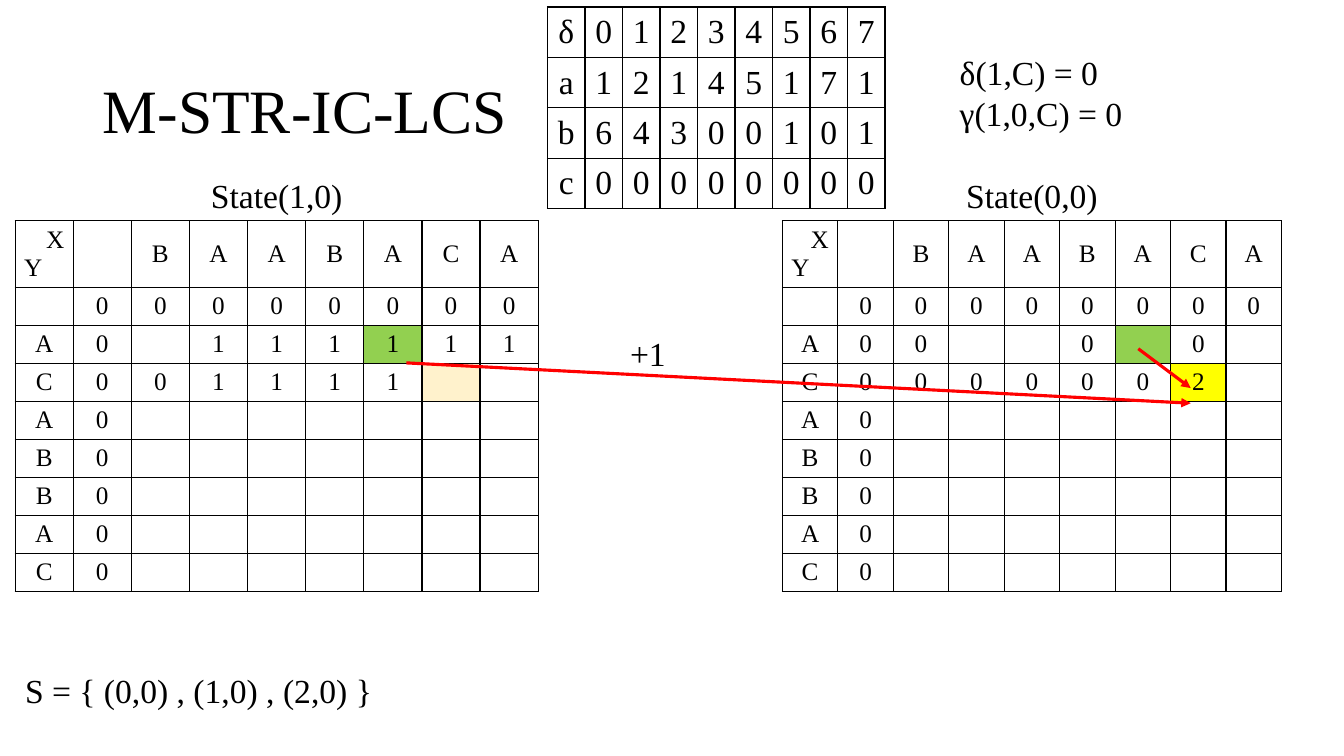
from pptx import Presentation
from pptx.dml.color import RGBColor
from pptx.enum.shapes import MSO_CONNECTOR
from pptx.enum.text import MSO_ANCHOR, PP_ALIGN
from pptx.oxml import parse_xml
from pptx.oxml.ns import nsdecls
from pptx.util import Inches, Pt

BLACK = RGBColor(0x00, 0x00, 0x00)
WHITE = RGBColor(0xFF, 0xFF, 0xFF)
GREEN = RGBColor(0x92, 0xD0, 0x50)
CREAM = RGBColor(0xFF, 0xF2, 0xCC)
YELLOW = RGBColor(0xFF, 0xFF, 0x00)
RED = RGBColor(0xFF, 0x00, 0x00)
FONT = "Times New Roman"
COLUMNS = 9


def style_text(frame, size):
    for para in frame.paragraphs:
        for span in para.runs:
            span.font.name = FONT
            span.font.size = Pt(size)
            span.font.color.rgb = BLACK


def add_grid(page, left, top, width, heights, rows, size, fills, base=None, caption=False):
    frame = page.shapes.add_table(len(rows), COLUMNS, Inches(left), Inches(top),
                                  Inches(width), Inches(sum(heights)))
    table = frame.table
    table.first_row = False
    table.horz_banding = False
    for column in table.columns:
        column.width = Inches(width / COLUMNS)
    for row, height in zip(table.rows, heights):
        row.height = Inches(height)
    for r, values in enumerate(rows):
        for c, value in enumerate(values):
            cell = table.cell(r, c)
            cell.text = value.strip()
            cell.vertical_anchor = MSO_ANCHOR.MIDDLE
            cell.margin_left = cell.margin_right = Inches(0.09)
            cell.margin_top = cell.margin_bottom = Inches(0.03)
            for para in cell.text_frame.paragraphs:
                para.alignment = PP_ALIGN.CENTER
            is_caption = caption and r == 0
            style_text(cell.text_frame, 24 if is_caption else size)
            color = fills.get((r, c), base)
            if color is None:
                cell.fill.background()
            else:
                cell.fill.solid()
                cell.fill.fore_color.rgb = color
            properties = cell._tc.get_or_add_tcPr()
            for position, side in enumerate("LRTB"):
                paint = f'<a:solidFill><a:srgbClr val="{BLACK}"/></a:solidFill>'
                if is_caption and side != "B":
                    paint = "<a:noFill/>"
                border = f'<a:ln{side} {nsdecls("a")} w="12700">{paint}</a:ln{side}>'
                properties.insert(position, parse_xml(border))
    if caption:
        table.cell(0, 0).merge(table.cell(0, COLUMNS - 1))
    return table


deck = Presentation()
deck.slide_width = Inches(13.33)
deck.slide_height = Inches(7.5)
page = deck.slides.add_slide(deck.slide_layouts[5])

title = page.shapes.title
title.left, title.top = Inches(0.92), Inches(0.4)
title.width, title.height = Inches(11.5), Inches(1.45)
title.text_frame.text = "M-STR-IC-LCS"
title.text_frame.vertical_anchor = MSO_ANCHOR.MIDDLE
title.text_frame.paragraphs[0].alignment = PP_ALIGN.LEFT
title.text_frame.paragraphs[0].line_spacing = 0.9
style_text(title.text_frame, 44)

state_heights = [0.46, 0.66] + [3.02 / 8] * 8
states = [
    ("State(1,0)", 0.15, 5.19, ["A0 111111", "C001111"], {(3, 6): GREEN, (4, 7): CREAM}, None),
    ("State(0,0)", 7.76, 4.95, ["A00  0 0", "C0000002"], {(3, 6): GREEN, (4, 7): YELLOW}, WHITE),
]
for name, left, width, solved, fills, base in states:
    lines = [" 00000000", *solved, "A0", "B0", "B0", "A0", "C0"]
    rows = [[name], ["X\nY", *" BAABACA"]] + [list(line.ljust(COLUMNS)) for line in lines]
    table = add_grid(page, left, 1.73, width, state_heights, rows, 18, fills, base, True)
    corner_x, corner_y = table.cell(1, 0).text_frame.paragraphs
    corner_x.alignment = PP_ALIGN.RIGHT
    corner_y.alignment = PP_ALIGN.LEFT
    for c in range(COLUMNS):
        properties = table.cell(0, c)._tc.get_or_add_tcPr()
        if len(properties) == 0:
            border = (f'<a:lnB {nsdecls("a")} w="12700"><a:solidFill>'
                      f'<a:srgbClr val="{BLACK}"/></a:solidFill></a:lnB>')
            properties.append(parse_xml(border))
            table.cell(0, c).fill.background()

arrows = [(11.29, 3.46, 11.81, 3.85), (4.03, 3.6, 11.81, 4)]
for ends in arrows:
    arrow = page.shapes.add_connector(MSO_CONNECTOR.STRAIGHT, *map(Inches, ends))
    arrow.line.color.rgb = RED
    arrow.line.width = Pt(2.25)
    arrow.line._get_or_add_ln().append(parse_xml(f'<a:tailEnd {nsdecls("a")} type="triangle"/>'))
    arrow._element.spPr.append(parse_xml(f'<a:effectLst {nsdecls("a")}/>'))

notes = [
    ("S = { (0,0) , (1,0) , (2,0) }", 0.15, 6.6, 4.36, 0.5),
    ("+1", 6.15, 3.25, 0.82, 0.5),
    ("δ(1,C) = 0\nγ(1,0,C) = 0", 9.42, 0.47, 2.02, 1.31),
]
for text, *place in notes:
    box = page.shapes.add_textbox(*map(Inches, place))
    box.text_frame.word_wrap = True
    box.text_frame.text = text
    style_text(box.text_frame, 24)

transitions = ["δ01234567", "a12145171", "b64300101", "c00000000"]
add_grid(page, 5.43, 0.07, 3.35, [0.5] * 4, transitions, 24, {(r, 6): WHITE for r in range(4)})

deck.save("out.pptx")
